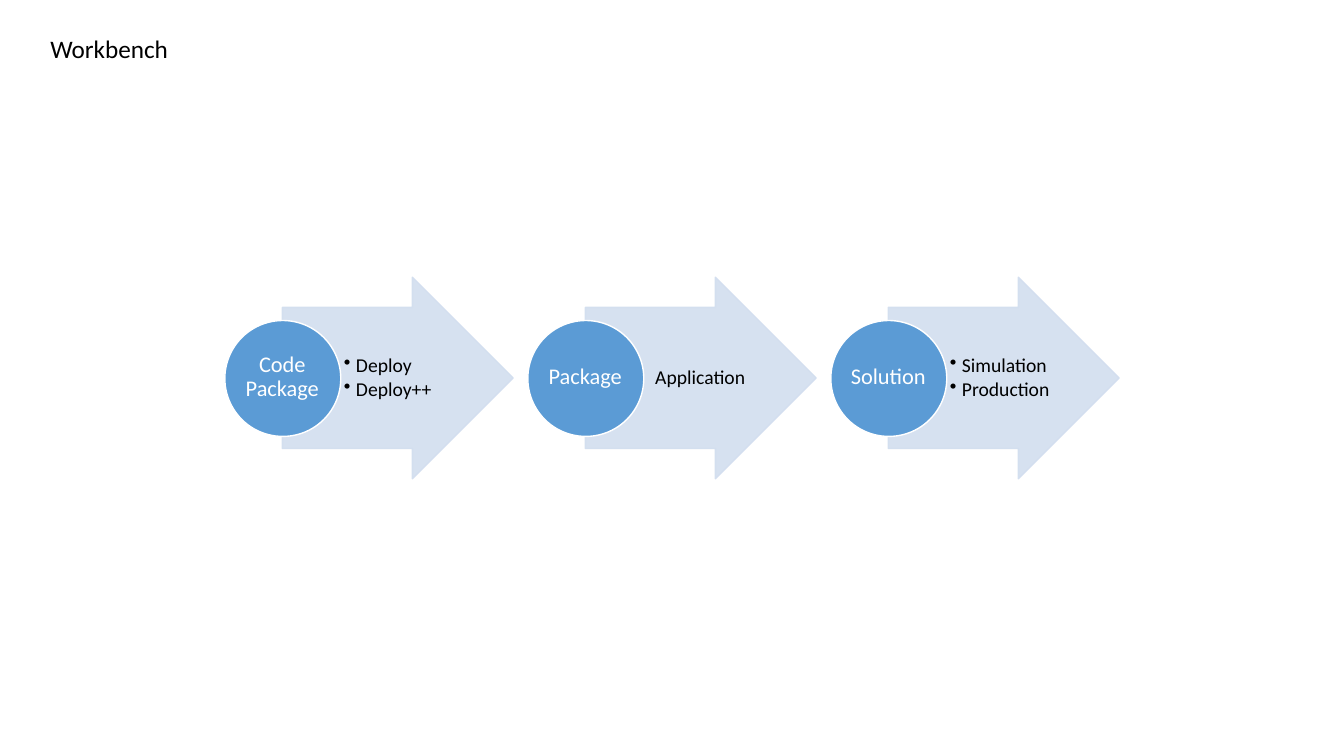
from lxml.etree import SubElement
from pptx import Presentation
from pptx.dml.color import RGBColor
from pptx.enum.shapes import MSO_SHAPE
from pptx.enum.text import MSO_ANCHOR, MSO_AUTO_SIZE, PP_ALIGN
from pptx.oxml.ns import qn
from pptx.util import Inches, Pt

FONT = "Calibri"
BLACK, WHITE = "000000", "FFFFFF"
ARROW_BLUE, CIRCLE_BLUE = "D2DEEF", "5B9BD5"
FIRST_LEFT, STEP_PITCH = 2.23, 3.005
STEPS = [
    ("Code Package", ["Deploy", "Deploy++"]),
    ("Package", ["Application"]),
    ("Solution", ["Simulation", "Production"]),
]


def set_color(color_format, value):
    """Apply a hex colour to a font, fill or line colour."""
    color_format.rgb = RGBColor.from_string(value)


def set_opacity(fill, percent):
    """Make a solid fill partly transparent."""
    color = fill._xPr.find(qn("a:solidFill"))[0]
    SubElement(color, qn("a:alpha")).set("val", str(percent * 1000))


def add_figure(page, preset, bounds, fill, line, opacity=100):
    """Draw a filled preset shape with a thin outline."""
    shape = page.shapes.add_shape(preset, *map(Inches, bounds))
    shape.shadow.inherit = False
    shape.line.width = Pt(1)
    for paint, value in ((shape.fill, fill), (shape.line.fill, line)):
        paint.solid()
        set_color(paint.fore_color, value)
        if opacity < 100:
            set_opacity(paint, opacity)
    return shape


def add_text(page, bounds, lines, size, color, align=PP_ALIGN.LEFT):
    """Add a wrapping text box with one paragraph per line."""
    box = page.shapes.add_textbox(*map(Inches, bounds))
    frame = box.text_frame
    frame.word_wrap = True
    frame.text = "\n".join(lines)
    for para in frame.paragraphs:
        para.alignment = align
        para.font.name, para.font.size = FONT, Pt(size)
        set_color(para.font.color, color)
    return frame


def fit_inside(frame, left, right):
    """Centre text vertically with tight margins and line spacing."""
    frame.vertical_anchor = MSO_ANCHOR.MIDDLE
    frame.margin_left, frame.margin_right = Inches(left), Inches(right)
    frame.margin_top = frame.margin_bottom = Inches(0.01)
    for para in frame.paragraphs:
        para.line_spacing = 0.9


def add_bullets(frame):
    """Turn every paragraph into a hanging bullet."""
    for para in frame.paragraphs:
        para.level = 1
        para.space_after = Pt(2.1)
        properties = para._p.get_or_add_pPr()
        properties.set("marL", str(Inches(0.12)))
        properties.set("indent", str(Inches(-0.12)))
        bullet = properties.makeelement(qn("a:buChar"), {"char": "•"})
        properties.insert_element_before(
            bullet, "a:tabLst", "a:defRPr", "a:extLst")


def add_step(page, left, name, details):
    """Draw one step: an arrow with details and a named circle."""
    arrow = add_figure(page, MSO_SHAPE.RIGHT_ARROW, (left + 0.57, 2.75, 2.29, 2),
                       ARROW_BLUE, ARROW_BLUE, 90)
    arrow.adjustments[0], arrow.adjustments[1] = 0.7, 0.5
    bulleted = len(details) > 1
    frame = add_text(page, (left + 1.14, 3.05, 1.12, 1.4), details, 14, BLACK,
                     PP_ALIGN.LEFT if bulleted else PP_ALIGN.CENTER)
    fit_inside(frame, 0.04, 0.02)
    if bulleted:
        add_bullets(frame)
    add_figure(page, MSO_SHAPE.OVAL, (left, 3.18, 1.15, 1.15), CIRCLE_BLUE, WHITE)
    label = add_text(page, (left + 0.165, 3.34, 0.81, 0.81), [name], 16, WHITE,
                     PP_ALIGN.CENTER)
    fit_inside(label, 0.01, 0.01)


def main():
    """Build and save the workbench slide."""
    deck = Presentation()
    deck.slide_width, deck.slide_height = Inches(13.33), Inches(7.5)
    page = deck.slides.add_slide(deck.slide_layouts[6])
    for index, (name, details) in enumerate(STEPS):
        add_step(page, FIRST_LEFT + index * STEP_PITCH, name, details)
    title = add_text(page, (0.4, 0.28, 3.79, 0.4), ["Workbench"], 18, BLACK)
    title.auto_size = MSO_AUTO_SIZE.SHAPE_TO_FIT_TEXT
    deck.save("out.pptx")


main()
